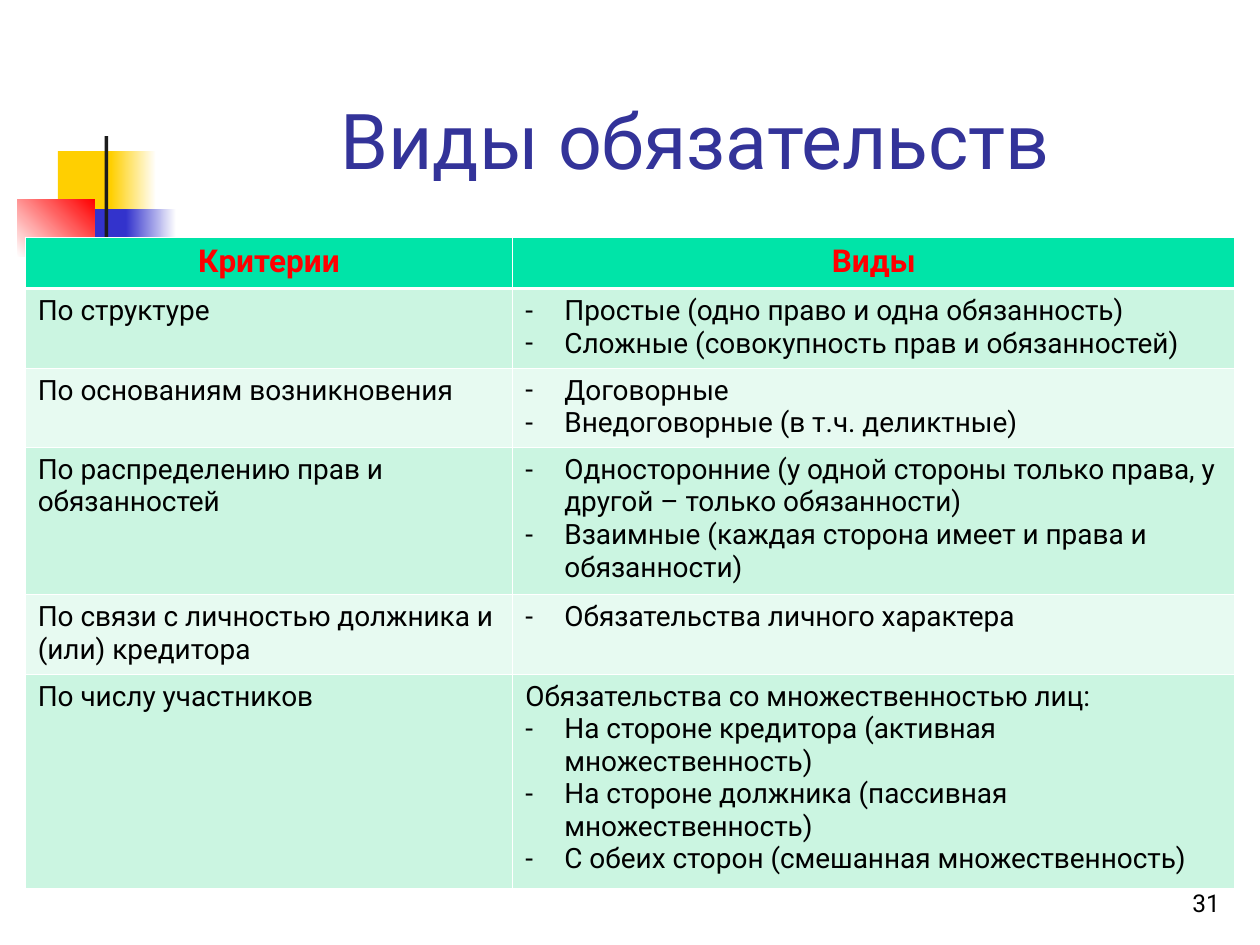
from lxml.etree import SubElement
from pptx import Presentation
from pptx.dml.color import RGBColor
from pptx.enum.shapes import MSO_SHAPE as Shape
from pptx.enum.text import MSO_ANCHOR as Anchor, PP_ALIGN as Align
from pptx.oxml.ns import qn
from pptx.util import Inches, Pt

FONT = "Roboto"
TITLE = "Виды обязательств"
PAGE = "31"
HEADERS = ["Критерии", "Виды"]
ROWS = [
    ("По структуре", [
        "- Простые (одно право и одна обязанность)",
        "- Сложные (совокупность прав и обязанностей)"]),
    ("По основаниям возникновения", [
        "- Договорные",
        "- Внедоговорные (в т.ч. деликтные)"]),
    ("По распределению прав и обязанностей", [
        "- Односторонние (у одной стороны только права, у другой – только обязанности)",
        "- Взаимные (каждая сторона имеет и права и обязанности)"]),
    ("По связи с личностью должника и (или) кредитора", [
        "- Обязательства личного характера"]),
    ("По числу участников", [
        "Обязательства со множественностью лиц:",
        "- На стороне кредитора (активная множественность)",
        "- На стороне должника (пассивная множественность)",
        "- С обеих сторон (смешанная множественность)"]),
]
COLUMN_WIDTHS = [3.87, 5.73]
ROW_HEIGHTS = [0.41, 0.63, 0.63, 1.17, 0.63, 1.7]
HEADER_FILL = "00E4A8"
BAND_FILLS = ["CBF5E1", "E7FAF1"]
HAIRLINE, HEADER_RULE = 0.45, 1.47
HANGING = 0.31

DECOR = [
    ((0.46, 1.2, 0.48, 0.52), ["FFCF01"], 0),
    ((0.88, 1.2, 0.36, 0.52), ["FFCF01", "FFFFFF"], 0),
    ((0.59, 1.66, 0.46, 0.52), ["3333CC"], 0),
    ((1, 1.66, 0.4, 0.52), ["3333CC", "FFFFFF"], 0),
    ((0.14, 1.58, 0.61, 0.46), ["FFFFFF", "FF0000"], 45),
    ((0.83, 1.08, 0.03, 1.15), ["1C1C1C"], 0),
    ((0.48, 1.95, 9, 0.03), ["1C1C1C", "FFFFFF"], 0),
]


def paint(color, value):
    color.rgb = RGBColor.from_string(value)


def fill_solid(target, value):
    target.fill.solid()
    paint(target.fill.fore_color, value)


def add_decor(slide, box, colors, angle):
    block = slide.shapes.add_shape(Shape.RECTANGLE, *map(Inches, box))
    block.shadow.inherit = False
    block.line.fill.background()
    if len(colors) == 1:
        fill_solid(block, colors[0])
        return
    block.fill.gradient()
    block.fill.gradient_angle = angle
    for stop, value in zip(block.fill.gradient_stops, colors):
        paint(stop.color, value)


def write(paragraph, words, size, color, align=Align.LEFT, bold=False):
    paragraph.alignment = align
    run = paragraph.add_run()
    run.text = words
    run.font.name = FONT
    run.font.size = Pt(size)
    run.font.bold = bold
    paint(run.font.color, color)


def hang(paragraph, dashed):
    properties = paragraph._p.get_or_add_pPr()
    properties.set("marL", str(Inches(HANGING)))
    properties.set("indent", str(-Inches(HANGING)))
    if dashed:
        bullet_color = SubElement(properties, qn("a:buClr"))
        SubElement(bullet_color, qn("a:srgbClr"), val="000000")
        SubElement(properties, qn("a:buFont"), typeface=FONT)
        SubElement(properties, qn("a:buChar"), char="-")


def style_cell(cell, row):
    widths = {
        "lnL": HAIRLINE,
        "lnR": HAIRLINE,
        "lnT": HEADER_RULE if row == 1 else HAIRLINE,
        "lnB": HEADER_RULE if row == 0 else HAIRLINE,
    }
    properties = cell._tc.get_or_add_tcPr()
    for side, width in widths.items():
        border = SubElement(properties, qn(f"a:{side}"), w=str(Pt(width)))
        border_fill = SubElement(border, qn("a:solidFill"))
        SubElement(border_fill, qn("a:srgbClr"), val="FFFFFF")
    fill_solid(cell, BAND_FILLS[(row - 1) % 2] if row else HEADER_FILL)


def add_kinds_table(slide):
    table = slide.shapes.add_table(
        len(ROW_HEIGHTS), len(COLUMN_WIDTHS), Inches(0.2), Inches(1.88),
        Inches(sum(COLUMN_WIDTHS)), Inches(sum(ROW_HEIGHTS))).table
    for column, width in zip(table.columns, COLUMN_WIDTHS):
        column.width = Inches(width)
    for row, height in enumerate(ROW_HEIGHTS):
        table.rows[row].height = Inches(height)
        for cell in table.rows[row].cells:
            style_cell(cell, row)

    for column, header in enumerate(HEADERS):
        write(table.cell(0, column).text_frame.paragraphs[0], header,
              18, "FF0000", Align.CENTER, True)
    for row, (criterion, kinds) in enumerate(ROWS, start=1):
        write(table.cell(row, 0).text_frame.paragraphs[0], criterion, 16, "000000")
        frame = table.cell(row, 1).text_frame
        for index, kind in enumerate(kinds):
            paragraph = frame.add_paragraph() if index else frame.paragraphs[0]
            hang(paragraph, kind.startswith("- "))
            write(paragraph, kind.removeprefix("- "), 16, "000000")


def main():
    deck = Presentation()
    deck.slide_width, deck.slide_height = Inches(10), Inches(7.5)
    slide = deck.slides.add_slide(deck.slide_layouts[5])

    for box, colors, angle in DECOR:
        add_decor(slide, box, colors, angle)

    title = slide.shapes.title
    title.left, title.top, title.width, title.height = map(
        Inches, (1.26, 0.31, 8.52, 1.21))
    title.text_frame.vertical_anchor = Anchor.BOTTOM
    write(title.text_frame.paragraphs[0], TITLE, 44, "333399", Align.CENTER)

    add_kinds_table(slide)

    page = slide.shapes.add_textbox(*map(Inches, (7.7, 6.83, 2.08, 0.5))).text_frame
    page.word_wrap = True
    page.vertical_anchor = Anchor.BOTTOM
    write(page.paragraphs[0], PAGE, 14, "000000", Align.RIGHT)

    deck.save("out.pptx")


if __name__ == "__main__":
    main()
